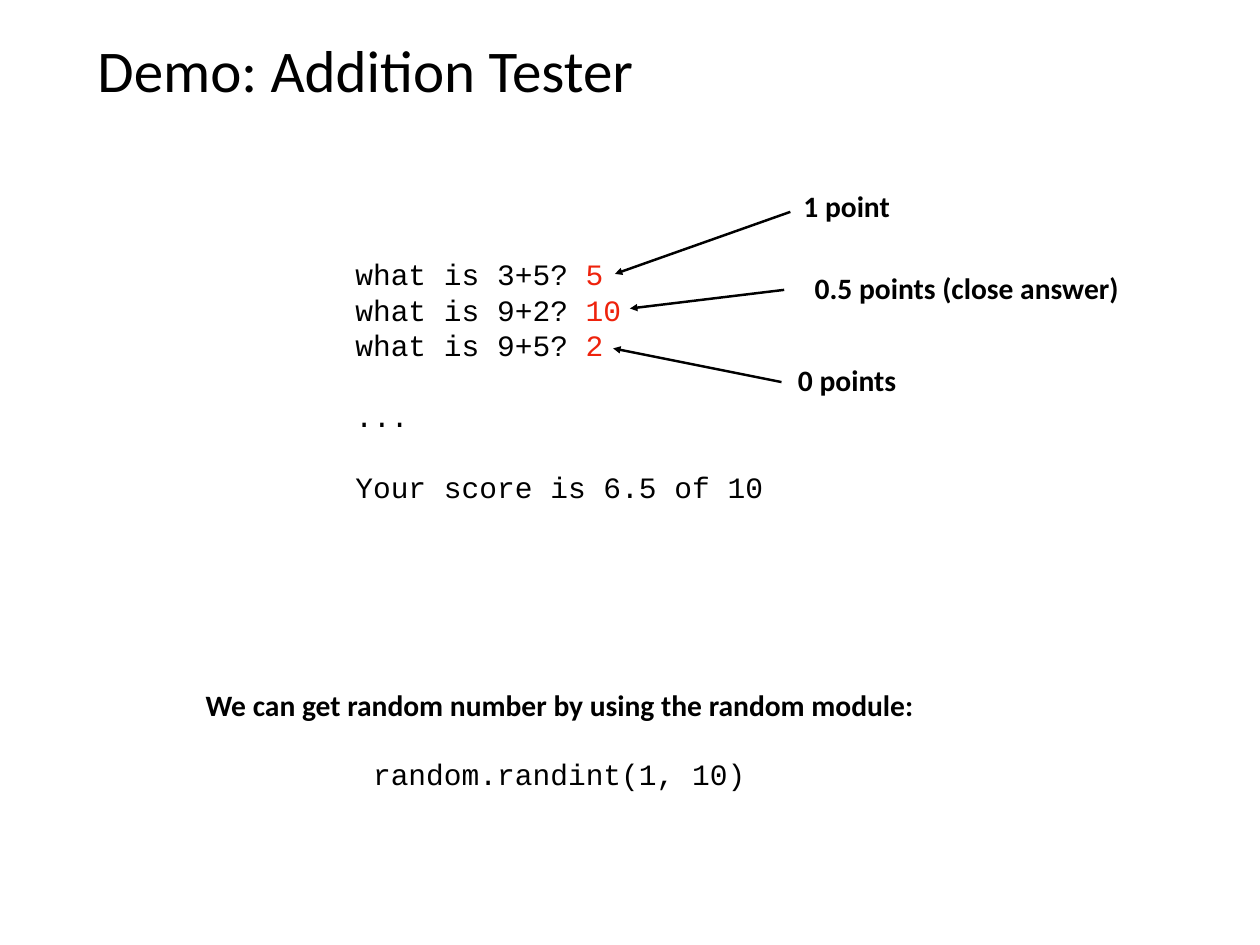
from lxml import etree
from pptx import Presentation
from pptx.dml.color import RGBColor
from pptx.enum.shapes import MSO_CONNECTOR
from pptx.enum.text import MSO_ANCHOR, MSO_AUTO_SIZE, PP_ALIGN
from pptx.oxml.ns import qn
from pptx.util import Inches, Pt

STRAIGHT = MSO_CONNECTOR.STRAIGHT
TOP, MIDDLE = MSO_ANCHOR.TOP, MSO_ANCHOR.MIDDLE
LEFT, CENTER = PP_ALIGN.LEFT, PP_ALIGN.CENTER
NO_AUTOFIT = MSO_AUTO_SIZE.NONE

BLACK = RGBColor(0x00, 0x00, 0x00)
RED = RGBColor(0xEE, 0x22, 0x0C)
BODY_FONT = "Calibri"
CODE_FONT = "Courier New"
CODE_LINE = Pt(28.8)
MARGIN = Inches(0.06)

QUESTIONS = [("what is 3+5? ", "5"), ("what is 9+2? ", "10"), ("what is 9+5? ", "2")]
SCORES = [
    ("1 point", (8.92, 2.06, 1.27, 0.51), (8.92, 2.39), (6.94, 3.09)),
    ("0.5 points (close answer)", (8.82, 2.99, 4.18, 0.51), (8.85, 3.27), (7.11, 3.48)),
    ("0 points", (8.84, 4.03, 1.44, 0.51), (8.82, 4.31), (6.92, 3.93)),
]


def add_span(para, text, font=BODY_FONT, size=24, color=BLACK, bold=False):
    """Append formatted text to a paragraph."""
    span = para.add_run()
    span.text = text
    span.font.name = font
    span.font.size = Pt(size)
    span.font.color.rgb = color
    span.font.bold = bold


def prepare_frame(box, anchor, wrap=False):
    """Set the margins, anchor and wrapping of a box and return its frame."""
    frame = box.text_frame
    frame.auto_size = NO_AUTOFIT
    frame.word_wrap = wrap
    frame.vertical_anchor = anchor
    frame.margin_left = frame.margin_right = MARGIN
    frame.margin_top = frame.margin_bottom = MARGIN
    return frame


def set_title(page, text):
    """Place and format the title placeholder."""
    title = page.shapes.title
    title.left, title.top = Inches(1.04), Inches(0.28)
    title.width, title.height = Inches(12.14), Inches(0.99)
    para = prepare_frame(title, MIDDLE, wrap=True).paragraphs[0]
    para.alignment = LEFT
    add_span(para, text, size=48)


def add_label(page, text, place):
    """Add a bold, centred label."""
    box = page.shapes.add_textbox(*map(Inches, place))
    para = prepare_frame(box, MIDDLE).paragraphs[0]
    para.alignment = CENTER
    add_span(para, text, bold=True)


def add_code(page, lines, place):
    """Add code lines, each given as text, red answer and blank lines above."""
    box = page.shapes.add_textbox(*map(Inches, place))
    frame = prepare_frame(box, TOP)
    for index, (text, answer, gap) in enumerate(lines):
        para = frame.add_paragraph() if index else frame.paragraphs[0]
        para.alignment = LEFT
        para.line_spacing = CODE_LINE
        para.space_before = CODE_LINE * gap
        add_span(para, text, font=CODE_FONT)
        if answer:
            add_span(para, answer, font=CODE_FONT, color=RED)


def add_arrow(page, start, end):
    """Draw a black arrow from start to end."""
    arrow = page.shapes.add_connector(STRAIGHT, *map(Inches, start + end))
    arrow.line.color.rgb = BLACK
    arrow.line.width = Pt(2)
    etree.SubElement(arrow.line._get_or_add_ln(), qn("a:tailEnd"), type="triangle")
    etree.SubElement(arrow._element.spPr, qn("a:effectLst"))


def main():
    """Build the addition tester slide and save it."""
    deck = Presentation()
    deck.slide_width, deck.slide_height = Inches(14.22), Inches(10.66)
    page = deck.slides.add_slide(deck.slide_layouts[5])
    set_title(page, "Demo: Addition Tester")

    session = [(question, answer, 0) for question, answer in QUESTIONS]
    session += [("...", "", 1), ("Your score is 6.5 of 10", "", 1)]
    add_code(page, session, (3.95, 2.83, 4.71, 2.91))

    for text, place, start, end in SCORES:
        add_label(page, text, place)
        add_arrow(page, start, end)

    add_label(page, "We can get random number by using the random module:", (1.44, 7.69, 9.75, 0.51))
    add_code(page, [("random.randint(1, 10)", "", 0)], (4.15, 8.47, 4.31, 0.51))
    deck.save("out.pptx")


if __name__ == "__main__":
    main()
